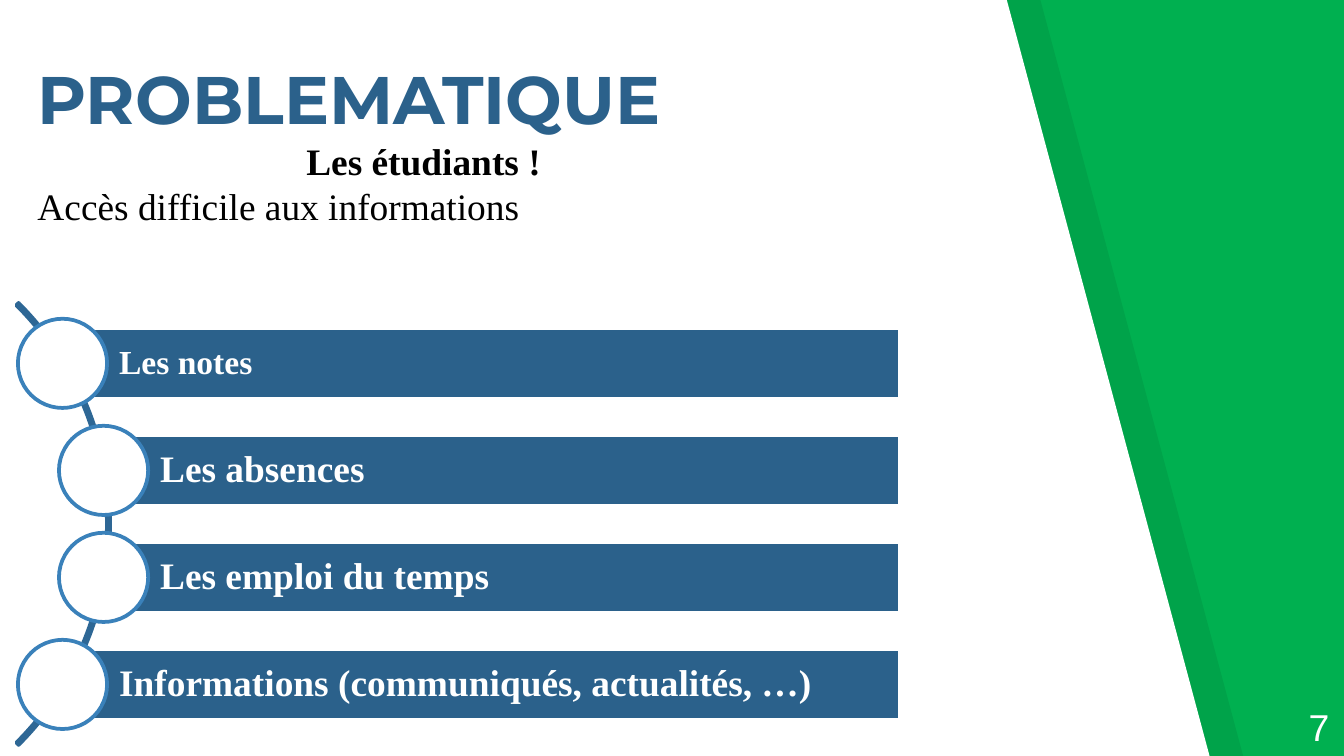
"""Build the PROBLEMATIQUE slide: a title and four student issues along an arc."""
from lxml import etree
from pptx import Presentation
from pptx.dml.color import RGBColor
from pptx.enum.shapes import MSO_SHAPE
from pptx.enum.text import MSO_ANCHOR, PP_ALIGN
from pptx.oxml.ns import qn
from pptx.util import Pt

ARC, BAR, CIRCLE = MSO_SHAPE.BLOCK_ARC, MSO_SHAPE.RECTANGLE, MSO_SHAPE.OVAL
MIDDLE, LEFT = MSO_ANCHOR.MIDDLE, PP_ALIGN.LEFT
WHITE, BLUE, GREEN = "FFFFFF", "2B618B", "00B050"
SERIF = "Times New Roman"


def color(value):
    return RGBColor.from_string(value)


def style(paragraph, text, name, size, value, bold):
    paragraph.text = text
    font = paragraph.font
    font.name, font.size, font.bold = name, Pt(size), bold
    font.color.rgb = color(value)


presentation = Presentation()
presentation.slide_width, presentation.slide_height = Pt(720), Pt(405)
slide = presentation.slides.add_slide(presentation.slide_layouts[6])
shapes = slide.shapes
slide.background.fill.solid()
slide.background.fill.fore_color.rgb = color(GREEN)

for left, value, opacity in ((18, "000000", 7), (0, WHITE, 100)):
    builder = shapes.build_freeform(Pt(left), Pt(0))
    corners = ((left, 405), (left + 648, 405), (left + 539.4, 0))
    builder.add_line_segments([(Pt(x), Pt(y)) for x, y in corners])
    panel = builder.convert_to_shape()
    panel.shadow.inherit = False
    panel.fill.solid()
    panel.fill.fore_color.rgb = color(value)
    panel.line.fill.background()
    if opacity < 100:
        fill_color = panel.fill._xPr.find(qn("a:solidFill"))[0]
        etree.SubElement(fill_color, qn("a:alpha"), val=str(opacity * 1000))

arc = shapes.add_shape(ARC, Pt(-275.8), Pt(113.3), Pt(334.8), Pt(334.8))
arc.shadow.inherit = False
arc.fill.background()
arc.line.color.rgb = color("2E6795")
arc.line.width = Pt(2)
for index, value in enumerate((189, 27, 0.005)):
    arc.adjustments[index] = value

issues = (
    ("Les notes", 33.5, 18),
    ("Les absences", 55.5, 20),
    ("Les emploi du temps", 55.5, 20),
    ("Informations (communiqués, actualités, …)", 33.5, 20),
)
bar_right, bar_height, diameter = 482, 38.2, 47.8
for row, (text, center_x, size) in enumerate(issues):
    center_y = 194.7 + row * 57.33
    bar = shapes.add_shape(BAR, Pt(center_x), Pt(center_y - bar_height / 2),
                           Pt(bar_right - center_x), Pt(bar_height))
    circle = shapes.add_shape(CIRCLE, Pt(center_x - diameter / 2),
                              Pt(center_y - diameter / 2), Pt(diameter), Pt(diameter))
    for shape, fill, line in ((bar, BLUE, WHITE), (circle, WHITE, "3A81BA")):
        shape.shadow.inherit = False
        shape.fill.solid()
        shape.fill.fore_color.rgb = color(fill)
        shape.line.color.rgb = color(line)
        shape.line.width = Pt(2)
    frame = bar.text_frame
    frame.vertical_anchor = MIDDLE
    frame.margin_left = Pt(30.3)
    frame.margin_right = frame.margin_top = frame.margin_bottom = Pt(4)
    paragraph = frame.paragraphs[0]
    paragraph.alignment = LEFT
    paragraph.line_spacing = 0.9
    style(paragraph, text, SERIF, size, WHITE, True)

number = shapes.add_textbox(Pt(694), Pt(373.7), Pt(26), Pt(31.5)).text_frame
style(number.paragraphs[0], "7", "Arial", 20, WHITE, False)

heading = shapes.add_textbox(Pt(13), Pt(27.4), Pt(485), Pt(110)).text_frame
heading.word_wrap = True
subtitle, detail = heading.add_paragraph(), heading.add_paragraph()
style(heading.paragraphs[0], "PROBLEMATIQUE", "Montserrat", 36, BLUE, True)
style(subtitle, "Les étudiants !", SERIF, 20, "000000", True)
style(detail, "Accès difficile aux informations", SERIF, 20, "000000", False)
subtitle._p.get_or_add_pPr().set("marL", str(Pt(144)))

presentation.save("out.pptx")
